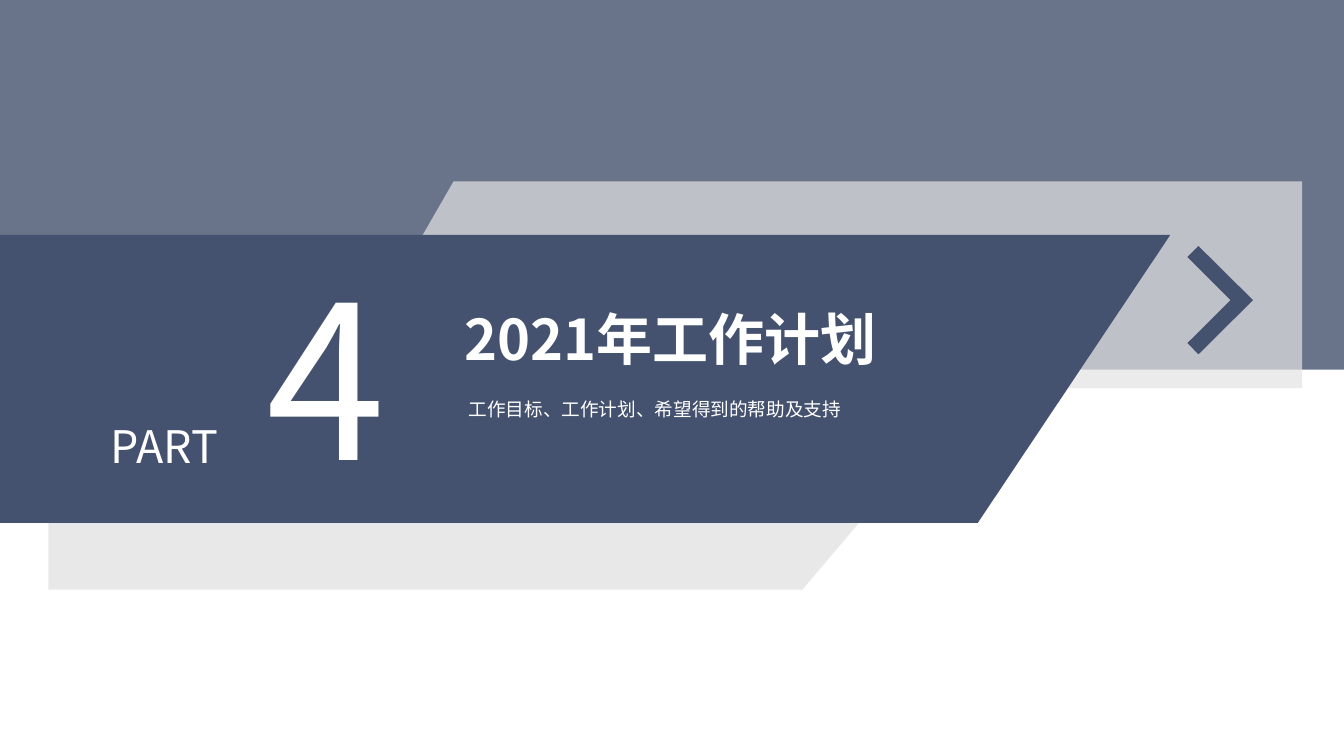
from dataclasses import dataclass

from lxml.etree import SubElement
from pptx import Presentation
from pptx.dml.color import RGBColor
from pptx.enum.shapes import MSO_SHAPE as Preset
from pptx.enum.text import MSO_AUTO_SIZE as AutoSize, PP_ALIGN as Align
from pptx.oxml.ns import qn
from pptx.shapes.autoshape import Shape
from pptx.slide import Slide
from pptx.util import Pt

FONT = "Noto Sans CJK SC"
COLORS = {
    "navy": "44526F",
    "mist": "E3E3E3",
    "silver": "E8E8E8",
    "white": "FFFFFF",
}


@dataclass(frozen=True)
class Panel:
    corners: tuple[tuple[float, float], ...]
    color: str
    opacity: int = 100


@dataclass(frozen=True)
class Label:
    text: str
    left: float
    top: float
    width: float
    height: float
    size: float
    align: Align = Align.LEFT
    bold: bool = False


PANELS = (
    Panel(((324, 129.6), (930.2, 129.6), (930.2, 277.2), (239, 277.2)), "mist", 70),
    Panel(((34.6, 273.6), (698.4, 273.6), (573.1, 421.2), (34.6, 421.2)), "silver"),
    Panel(((0, 167.8), (835.9, 167.8), (698.4, 373.5), (0, 373.5)), "navy"),
)
CHEVRON = Panel(
    ((856, 175.7), (895, 214.4), (856, 253.1), (848.2, 245), (879, 214.4), (848.2, 183.6)),
    "navy",
)
LABELS = (
    Label("PART", 62.6, 295.9, 109.4, 46.1, 32, Align.CENTER),
    Label("4", 144.7, 172.1, 175.7, 193, 153.3, Align.CENTER),
    Label("2021年工作计划", 324.7, 213.8, 345.6, 55.4, 40, bold=True),
    Label("工作目标、工作计划、希望得到的帮助及支持", 327.6, 280.8, 361.4, 22.3, 13.3),
)


def paint(shape: Shape, color: str, opacity: int = 100) -> None:
    """Give a flat fill, with opacity in percent, and no line or shadow."""
    shape.shadow.inherit = False
    shape.line.fill.background()
    shape.fill.solid()
    shape.fill.fore_color.rgb = RGBColor.from_string(COLORS[color])
    if opacity < 100:
        tint = shape.fill._xPr.find(qn("a:solidFill"))[0]
        SubElement(tint, qn("a:alpha"), val=str(opacity * 1000))


def draw_panel(page: Slide, panel: Panel) -> None:
    first, *others = [(Pt(x), Pt(y)) for x, y in panel.corners]
    outline = page.shapes.build_freeform(*first)
    outline.add_line_segments(others, close=True)
    paint(outline.convert_to_shape(), panel.color, panel.opacity)


def draw_label(page: Slide, label: Label) -> None:
    box = page.shapes.add_textbox(
        Pt(label.left), Pt(label.top), Pt(label.width), Pt(label.height)
    )
    frame = box.text_frame
    frame.word_wrap = True
    frame.auto_size = AutoSize.SHAPE_TO_FIT_TEXT
    frame.text = label.text
    para = frame.paragraphs[0]
    para.alignment = label.align
    span = para.runs[0]
    span.font.name = FONT
    span.font.size = Pt(label.size)
    span.font.bold = label.bold
    span.font.color.rgb = RGBColor.from_string(COLORS["white"])
    SubElement(span.font._element, qn("a:ea"), typeface=FONT)


def main() -> None:
    deck = Presentation()
    deck.slide_width, deck.slide_height = Pt(960), Pt(540)
    page = deck.slides.add_slide(deck.slide_layouts[6])

    sky = page.shapes.add_shape(Preset.RECTANGLE, 0, 0, deck.slide_width, Pt(264))
    paint(sky, "navy", 80)
    for panel in PANELS:
        draw_panel(page, panel)
    for label in LABELS:
        draw_label(page, label)
    draw_panel(page, CHEVRON)

    deck.save("out.pptx")


if __name__ == "__main__":
    main()
